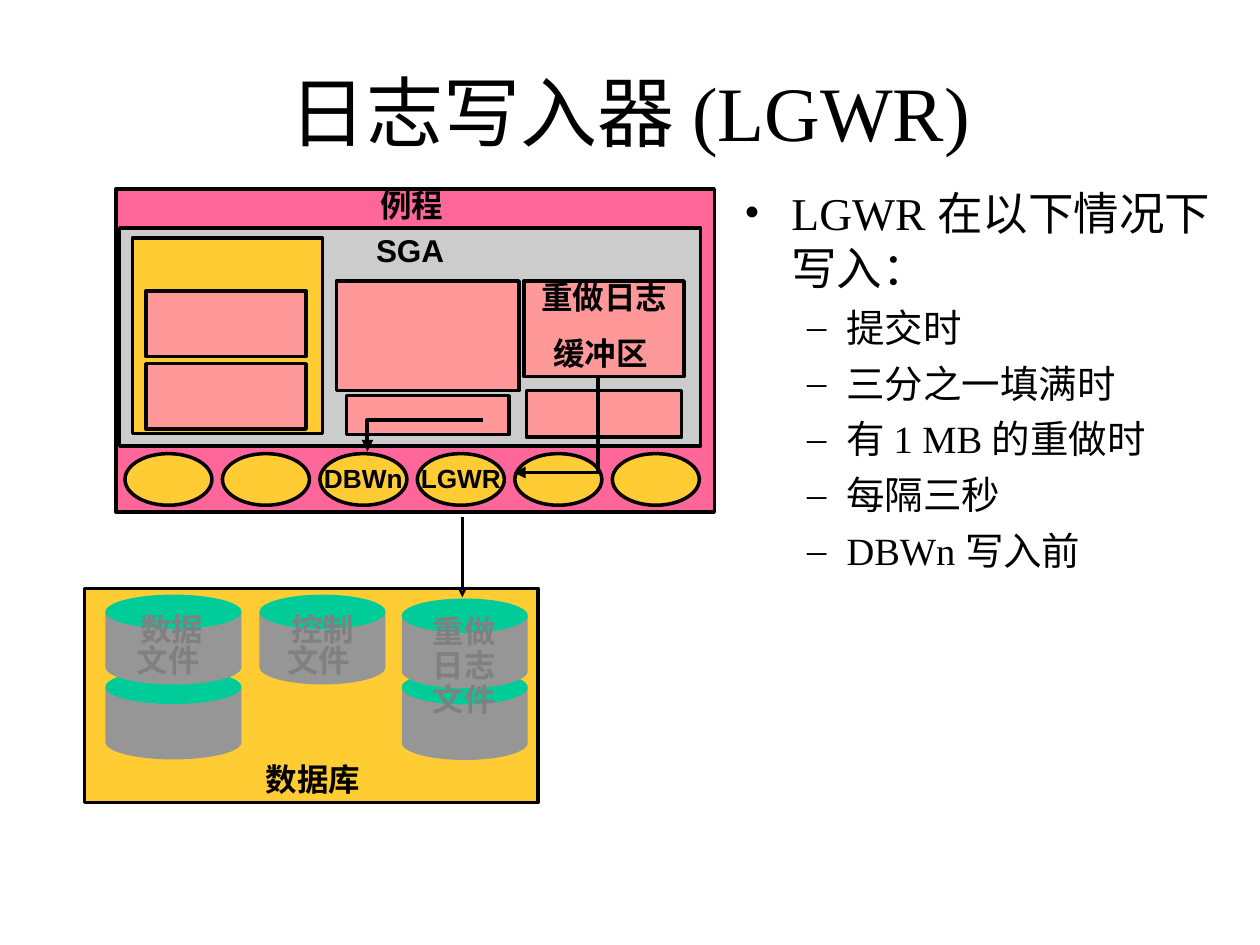
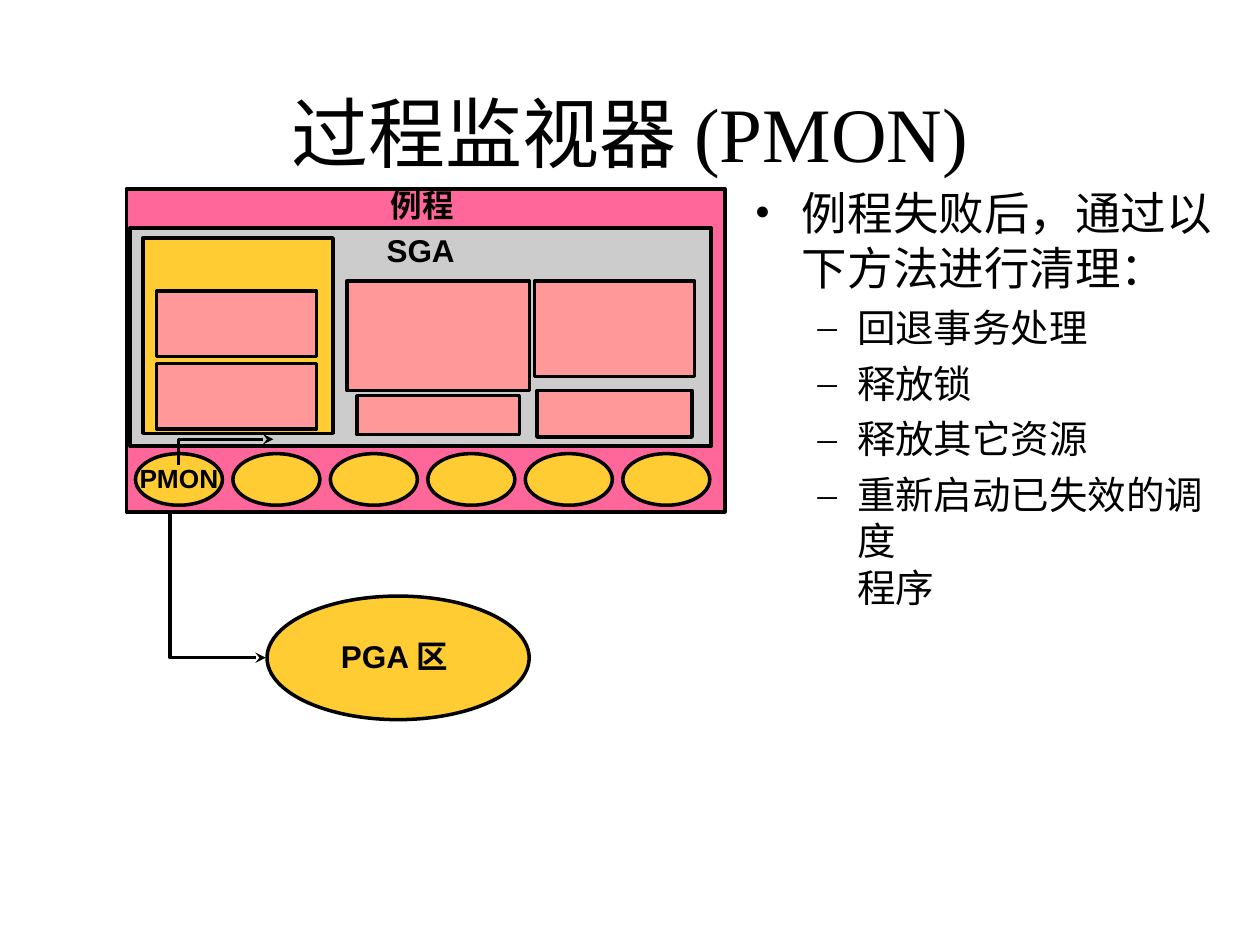
from lxml import etree
from pptx import Presentation
from pptx import util as u
from pptx.dml import color
from pptx.enum import shapes as s, text as t
from pptx.oxml import ns

COLORS = {
    "black": "000000", "white": "FFFFFF", "pink": "FF6699", "gray": "CCCCCC",
    "gold": "FFCC33", "salmon": "FF9999", "steel": "969696", "green": "00CC99",
    "label": "808080",
}
CJK_FONT = "Noto Sans CJK SC"
SERIF = "Times New Roman"
SANS = "Arial"
RECTANGLE = s.MSO_SHAPE.RECTANGLE
OVAL = s.MSO_SHAPE.OVAL
TOP, MIDDLE = t.MSO_ANCHOR.TOP, t.MSO_ANCHOR.MIDDLE
INSTANCE_TOP = 108
BULLETS = [
    {"size": 26, "mark": "•", "margin": 27, "hanging": 27, "before": 6.5},
    {"size": 22, "mark": "–", "margin": 58.5, "hanging": 22.5, "before": 5.5},
]


def rgb(name):
    return color.RGBColor.from_string(COLORS[name])


def points(*values):
    return [u.Pt(value) for value in values]


def split_scripts(line):
    runs = []
    for character in line:
        is_cjk = ord(character) > 0x2E7F
        if runs and (character == " " or runs[-1][1] == is_cjk):
            runs[-1][0] += character
        else:
            runs.append([character, is_cjk])
    return runs


def add_runs(paragraph, line, font, size, ink, bold):
    for words, is_cjk in split_scripts(line):
        run = paragraph.add_run()
        run.text = words
        run.font.name = CJK_FONT if is_cjk else font
        run.font.size = u.Pt(size)
        run.font.bold = bold
        run.font.color.rgb = rgb(ink)
        latin = run.font.element.find(ns.qn("a:latin")) if hasattr(run.font, "element") else None
        if latin is None:
            latin = run._r.rPr.find(ns.qn("a:latin"))
        east_asian = etree.Element(ns.qn("a:ea"), typeface=CJK_FONT)
        latin.addnext(east_asian)


def write_text(shape, content, font=SANS, size=18, ink="black", bold=True, wrap=False,
               anchor=MIDDLE, align=t.PP_ALIGN.CENTER, spacing=0.95, before=0,
               inset=(3.6, 3.6), first=True):
    frame = shape.text_frame
    frame.word_wrap = wrap
    frame.vertical_anchor = anchor
    frame.margin_left = frame.margin_right = u.Pt(inset[0])
    frame.margin_top = frame.margin_bottom = u.Pt(inset[1])
    paragraph = frame.paragraphs[0] if first else frame.add_paragraph()
    paragraph.alignment = align
    paragraph.line_spacing = spacing
    paragraph.space_before = u.Pt(before)
    for index, line in enumerate(content.split("\n")):
        if index:
            paragraph.add_line_break()
        add_runs(paragraph, line, font, size, ink, bold)
    return paragraph


def add_figure(container, kind, box, fill, outlined=True):
    shape = container.add_shape(kind, *points(*box))
    shape.shadow.inherit = False
    shape.fill.solid()
    shape.fill.fore_color.rgb = rgb(fill)
    if outlined:
        shape.line.color.rgb = rgb("black")
        shape.line.width = u.Pt(2)
    else:
        shape.line.fill.background()
    return shape


def style_arrow(shape, head, width):
    shape.line.color.rgb = rgb("black")
    shape.line.width = u.Pt(width)
    outline = shape.element.spPr.find(ns.qn("a:ln"))
    etree.SubElement(outline, ns.qn("a:tailEnd"), type=head)


def add_elbow(slide, corners, head="stealth", width=2):
    start, *rest = [points(*corner) for corner in corners]
    builder = slide.shapes.build_freeform(*start, scale=1.0)
    builder.add_line_segments(rest, close=False)
    elbow = builder.convert_to_shape()
    elbow.shadow.inherit = False
    elbow.fill.background()
    style_arrow(elbow, head, width)


def add_arrow(slide, start, end):
    arrow = slide.shapes.add_connector(s.MSO_CONNECTOR.STRAIGHT, *points(*start, *end))
    style_arrow(arrow, "stealth", 2)
    etree.SubElement(arrow.element.spPr, ns.qn("a:effectLst"))


def add_title(slide, title, top):
    box = slide.shapes.add_textbox(*points(54, top, 612, 90))
    write_text(box, title, font=SERIF, size=44, bold=False, wrap=True, spacing=1.0,
               inset=(7.2, 3.6))


def add_bullets(slide, heading, items, box):
    body = slide.shapes.add_textbox(*points(*box))
    for index, content in enumerate([heading, *items]):
        level = BULLETS[min(index, 1)]
        paragraph = write_text(
            body, content, font=SERIF, size=level["size"], bold=False, wrap=True,
            anchor=TOP, align=t.PP_ALIGN.LEFT, spacing=1.0, before=level["before"],
            inset=(7.2, 3.6), first=index == 0)
        properties = paragraph._p.get_or_add_pPr()
        properties.set("marL", str(u.Pt(level["margin"])))
        properties.set("indent", str(-u.Pt(level["hanging"])))
        etree.SubElement(properties, ns.qn("a:buFont"), typeface=SERIF)
        etree.SubElement(properties, ns.qn("a:buChar"), char=level["mark"])


def add_instance(slide, left, top, processes, redo_lines=()):
    def place(kind, x, y, width, height, fill):
        return add_figure(slide.shapes, kind, (left + x, top + y, width, height), fill)

    instance = place(RECTANGLE, 0, 0, 342, 184.5, "pink")
    write_text(instance, "例程 ", anchor=TOP, inset=(3.6, 0))
    sga = place(RECTANGLE, 2.2, 22.3, 332, 124.6, "gray")
    write_text(sga, "SGA", anchor=TOP)
    place(RECTANGLE, 9.4, 28, 108.7, 111.6, "gold")
    for y in (58.3, 99.8):
        place(RECTANGLE, 17.3, y, 91.4, 37.4, "salmon")
    redo_buffer = place(RECTANGLE, 233.3, 52.6, 91.4, 54.7, "salmon")
    for index, line in enumerate(redo_lines):
        write_text(redo_buffer, line, spacing=0.75, before=15.5 * index, first=index == 0)
    place(RECTANGLE, 126, 52.6, 104.4, 62.6, "salmon")
    place(RECTANGLE, 131.8, 118.1, 92.9, 22.3, "salmon")
    place(RECTANGLE, 234.7, 115.2, 88.6, 26.6, "salmon")
    for index in range(6):
        process = place(OVAL, 5.2 + 55.7 * index, 151.2, 49.7, 29.5, "gold")
        if index in processes:
            write_text(process, processes[index], size=15)


def add_cylinder(slide, left, top, width):
    parts = slide.shapes.add_group_shape().shapes
    add_figure(parts, RECTANGLE, (left, top + 10, width, 31), "steel", outlined=False)
    add_figure(parts, OVAL, (left, top, width, 19.6), "green", outlined=False)
    add_figure(parts, OVAL, (left, top + 31.7, width, 19.6), "steel", outlined=False)


def add_database(slide, left, top):
    database = (left, top, 259.2, 122.4)
    add_figure(slide.shapes, RECTANGLE, database, "gold")
    cylinders = [(100.1, 3.6, 72), (12, 46.5, 77.8), (12, 3.6, 77.8),
                 (181.4, 46.8, 72), (181.4, 5.8, 72)]
    for x, y, width in cylinders:
        add_cylinder(slide, left + x, top + y, width)
    file_labels = [("控制\n文件 ", 90, 92.2, 44.6, u.Pt(18)),
                   ("数据\n文件 ", 2.2, 95.8, 44.6, u.Pt(18)),
                   ("重做\n日志\n文件", 164.2, 105.8, 67, 0.9)]
    for content, x, width, height, spacing in file_labels:
        label = slide.shapes.add_textbox(*points(left + x, top + 11.5, width, height))
        write_text(label, content, ink="label", wrap=True, anchor=TOP, spacing=spacing,
                   inset=(8, 4.3))
    caption = slide.shapes.add_textbox(*points(left + 96.5, top + 94.3, 68.4, 28.8))
    write_text(caption, "数据库", anchor=TOP, spacing=1.0, inset=(7.2, 3.6))


def add_pga(slide, left, top):
    pga = add_figure(slide.shapes, OVAL, (left, top, 149.8, 70.6), "gold")
    write_text(pga, "PGA 区 ")


def new_slide(presentation):
    slide = presentation.slides.add_slide(presentation.slide_layouts[6])
    slide.background.fill.solid()
    slide.background.fill.fore_color.rgb = rgb("white")
    return slide


def build_log_writer(presentation):
    slide = new_slide(presentation)
    left, top = 66.2, INSTANCE_TOP
    add_title(slide, "日志写入器 (LGWR)", 18)
    add_bullets(slide, "LGWR 在以下情况下写入：",
                ["提交时", "三分之一填满时", "有 1 MB 的重做时", "每隔三秒", "DBWn 写入前"],
                (left + 352, 102.2, 283.7, 238.3))
    add_instance(slide, left, top, {2: "DBWn", 3: "LGWR"}, ["重做日志", "缓冲区 "])
    add_database(slide, 48.2, 336.2)
    add_arrow(slide, (left + 198, top + 187.2), (left + 198, top + 233.3))
    add_elbow(slide, [(left + 275.8, top + 108), (left + 275.8, top + 162),
                      (left + 227.5, top + 162)], "triangle", 2.25)
    add_elbow(slide, [(left + 209.8, top + 132), (left + 143.8, top + 132),
                      (left + 143.8, top + 150)], "triangle", 2.25)


def build_process_monitor(presentation):
    slide = new_slide(presentation)
    left, top = 72.2, INSTANCE_TOP
    add_title(slide, "过程监视器 (PMON)", 30)
    add_bullets(slide, "例程失败后，通过以下方法进行清理：",
                ["回退事务处理", "释放锁", "释放其它资源", "重新启动已失效的调度\n程序"],
                (left + 352, 102.2, 283.7, 260.6))
    add_pga(slide, left + 80.4, top + 232.6)
    add_elbow(slide, [(left + 25, top + 185.8), (left + 25, top + 267.8),
                      (left + 79.7, top + 267.8)])
    add_instance(slide, left, top, {0: "PMON"})
    add_elbow(slide, [(left + 29.7, top + 157.7), (left + 29.7, top + 143),
                      (left + 84, top + 143)])


def main():
    presentation = Presentation()
    presentation.slide_width, presentation.slide_height = points(720, 540)
    build_log_writer(presentation)
    build_process_monitor(presentation)
    presentation.save("out.pptx")


if __name__ == "__main__":
    main()
